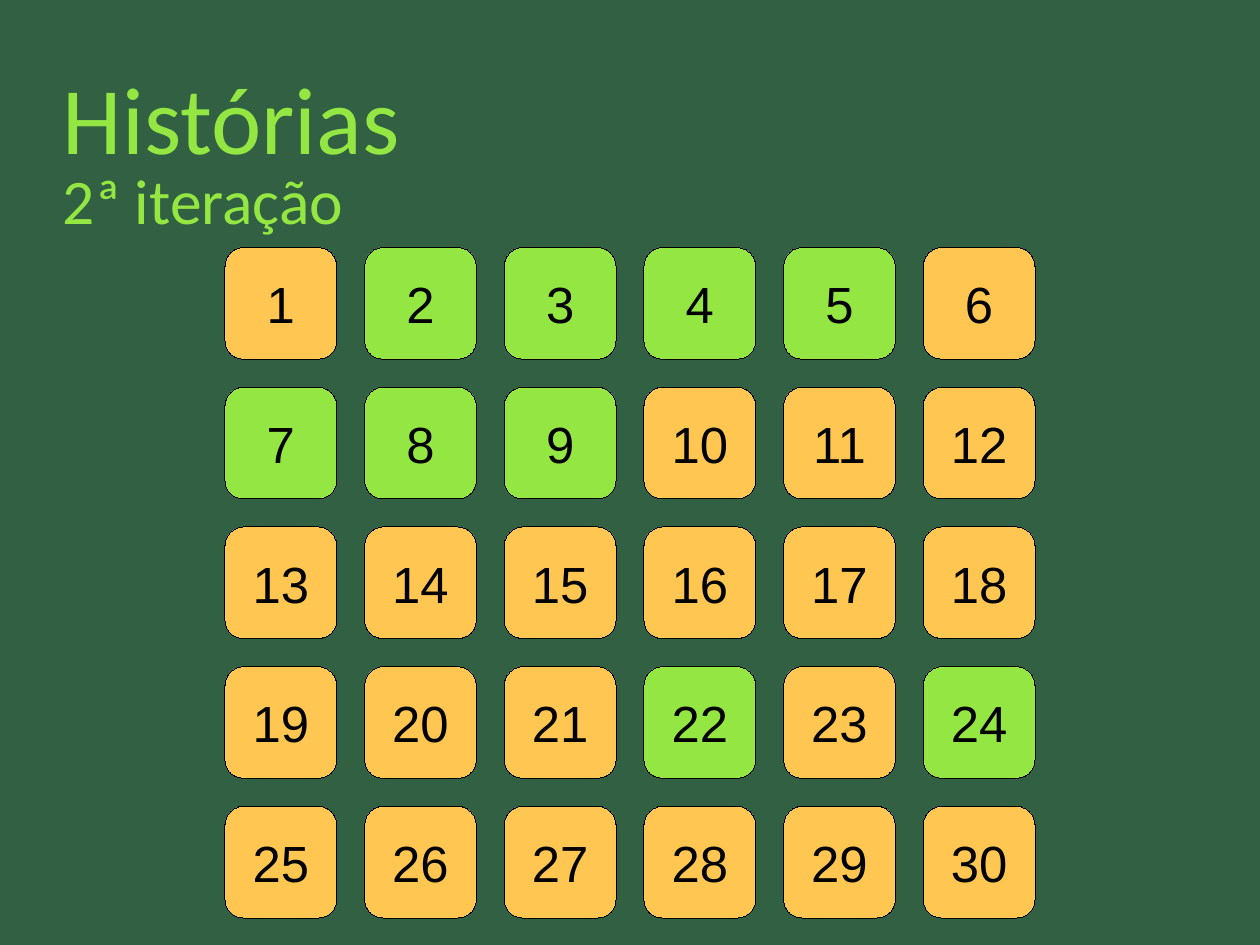
import pptx
import pptx.dml.color
import pptx.enum.shapes
import pptx.enum.text
import pptx.oxml.ns
import pptx.util

SLIDE_WIDTH, SLIDE_HEIGHT = 28, 21
BACKGROUND, GREEN, AMBER, BLACK = "316142", "94E742", "FFC752", "000000"
COLUMNS, ROWS = 6, 5
CARD_UNITS, GAP_UNITS = 8, 2
GREEN_STORIES = {2, 3, 4, 5, 7, 8, 9, 22, 24}

Cm = pptx.util.Cm
ALIGN = pptx.enum.text.PP_ALIGN


def color(hex_value):
    return pptx.dml.color.RGBColor.from_string(hex_value)


def fill_solid(fill, hex_value):
    fill.solid()
    fill.fore_color.rgb = color(hex_value)


def write_text(shape, text, *, size, font, hex_value, align=ALIGN.LEFT, margins=(0.25, 0.13)):
    frame = shape.text_frame
    frame.word_wrap = True
    frame.vertical_anchor = pptx.enum.text.MSO_ANCHOR.MIDDLE
    frame.margin_left = frame.margin_right = Cm(margins[0])
    frame.margin_top = frame.margin_bottom = Cm(margins[1])
    paragraph = frame.paragraphs[0]
    paragraph.alignment = align
    run = paragraph.add_run()
    run.text = text
    run.font.size = pptx.util.Pt(size)
    run.font.name = font
    run.font.color.rgb = color(hex_value)


def add_heading(slide, box, text, size):
    heading = slide.shapes.add_textbox(*map(Cm, box))
    write_text(heading, text, size=size, font="Calibri", hex_value=GREEN, margins=(0, 0))


def set_hairline(shape, hex_value):
    fill_solid(shape.line.fill, hex_value)
    shape.element.spPr.find(pptx.oxml.ns.qn("a:ln")).set("w", "0")


def add_story_card(slide, box, number):
    card = slide.shapes.add_shape(
        pptx.enum.shapes.MSO_SHAPE.ROUNDED_RECTANGLE, *map(Cm, box)
    )
    card.adjustments[0] = 1 / 6
    card.shadow.inherit = False
    fill_solid(card.fill, GREEN if number in GREEN_STORIES else AMBER)
    set_hairline(card, BLACK)
    write_text(card, str(number), size=32, font="Arial", hex_value=BLACK, align=ALIGN.CENTER)


def add_story_grid(slide, box):
    left, top, width, height = box
    pitch_units = CARD_UNITS + GAP_UNITS
    unit_width = width / (COLUMNS * pitch_units - GAP_UNITS)
    unit_height = height / (ROWS * pitch_units - GAP_UNITS)
    for column in range(COLUMNS):
        for row in range(ROWS):
            card_box = (
                left + column * pitch_units * unit_width,
                top + row * pitch_units * unit_height,
                CARD_UNITS * unit_width,
                CARD_UNITS * unit_height,
            )
            add_story_card(slide, card_box, row * COLUMNS + column + 1)


def main():
    presentation = pptx.Presentation()
    presentation.slide_width = Cm(SLIDE_WIDTH)
    presentation.slide_height = Cm(SLIDE_HEIGHT)
    slide = presentation.slides.add_slide(presentation.slide_layouts[6])
    fill_solid(slide.background.fill, BACKGROUND)
    margin = SLIDE_WIDTH / 20
    heading_width = SLIDE_WIDTH * 0.9
    add_heading(slide, (margin, 0.84, heading_width, 3.5), "Histórias", 60)
    add_heading(slide, (margin, 3.1, heading_width, 2.64), "2ª iteração", 40)
    add_story_grid(slide, (5, 5.5, 18, 14.9))
    presentation.save("out.pptx")


if __name__ == "__main__":
    main()
